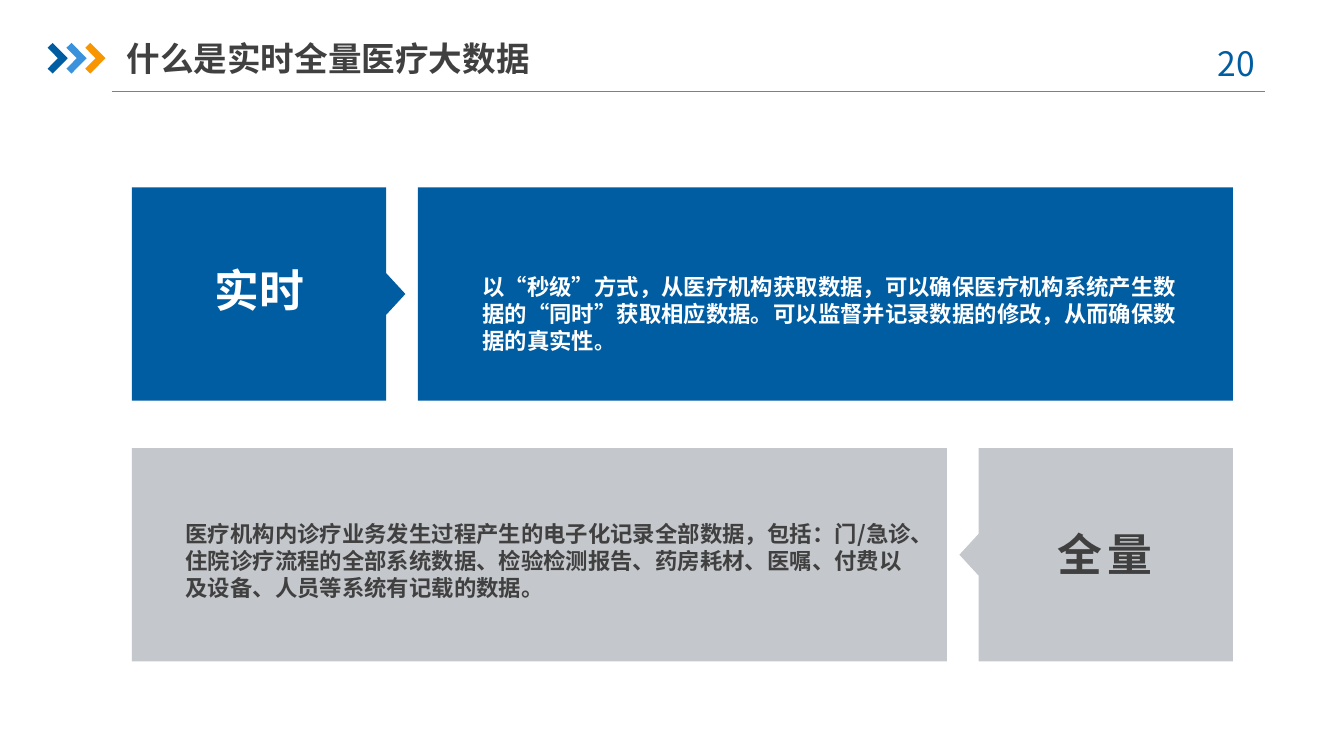
import pptx
import pptx.dml.color
import pptx.enum.shapes
import pptx.enum.text
import pptx.oxml.ns
import pptx.util
from lxml import etree

Pt = pptx.util.Pt
ALIGN = pptx.enum.text.PP_ALIGN
ANCHOR = pptx.enum.text.MSO_ANCHOR

FONT = "Noto Sans CJK SC"
BLUE, SKY, ORANGE = "005DA2", "3992DB", "F79600"
SILVER, DARK, GRAY, WHITE = "C4C7CB", "404040", "808080", "FFFFFF"


def color(hex_string):
    return pptx.dml.color.RGBColor.from_string(hex_string)


def paint(shape, fill):
    shape.shadow.inherit = False
    shape.fill.solid()
    shape.fill.fore_color.rgb = color(fill)
    shape.line.fill.background()


def add_text(slide, box, runs, fill, bold=True, align=ALIGN.LEFT, anchor=ANCHOR.TOP,
             insets=(0, 0, 0, 0), leading=1.25, spacing=None):
    """Add one paragraph; runs is a list of (text, size) pairs."""
    shape = slide.shapes.add_textbox(*map(Pt, box))
    frame = shape.text_frame
    frame.word_wrap = True
    frame.vertical_anchor = anchor
    (frame.margin_left, frame.margin_top,
     frame.margin_right, frame.margin_bottom) = map(Pt, insets)
    paragraph = frame.paragraphs[0]
    paragraph.alignment = align
    paragraph.line_spacing = Pt(runs[0][1] * leading)
    for text, size in runs:
        run = paragraph.add_run()
        run.text = text
        run.font.name = FONT
        run.font.size = Pt(size)
        run.font.bold = bold
        run.font.color.rgb = color(fill)
        properties = run.font._element
        if spacing:
            properties.set("spc", str(spacing * 100))
        east_asian = etree.SubElement(properties, pptx.oxml.ns.qn("a:ea"))
        east_asian.set("typeface", FONT)


def add_polygon(slide, points, fill):
    corners = [(Pt(x), Pt(y)) for x, y in points]
    builder = slide.shapes.build_freeform(*corners[0], scale=1.0)
    builder.add_line_segments(corners[1:], close=True)
    paint(builder.convert_to_shape(), fill)


def add_header(slide, box, title, number):
    left, top, width, height = box
    bottom = top + height

    # Rule under the title
    rule = slide.shapes.add_connector(
        pptx.enum.shapes.MSO_CONNECTOR.STRAIGHT,
        Pt(left + 34.3), Pt(bottom), Pt(left + width), Pt(bottom))
    rule.line.color.rgb = color(GRAY)
    rule.line.width = Pt(0.75)
    etree.SubElement(rule._element.spPr, pptx.oxml.ns.qn("a:effectLst"))

    # Three chevrons
    chevron = [(0, 2.6), (2.7, 0), (10.8, 8.2), (2.7, 16.4), (0, 13.8), (5.5, 8.2)]
    for index, fill in enumerate((BLUE, SKY, ORANGE)):
        x = left + index * 10.1
        add_polygon(slide, [(x + dx, top + 7.2 + dy) for dx, dy in chevron], fill)

    # Page number and title
    add_text(slide, (left + width - 39.5, top + 2.9, 52.6, 28.8), [(number, 18)], BLUE,
             bold=False, align=ALIGN.CENTER, insets=(7.2, 3.6, 7.2, 3.6))
    add_text(slide, (left + 42.3, top, 241, 30.2), [(title, 18)], DARK,
             anchor=ANCHOR.MIDDLE, insets=(0, 3.6, 0, 3.6))


def add_band(slide, box, fill, ink, label, label_box, body, body_box,
             label_first=True, spacing=None):
    """Add a pointed label block and a body panel; text boxes are relative to their block."""
    left, top, width, height = box
    label_width, gap, tip, half = 136.2, 17, 10.3, 11.2
    panel_width = width - label_width - gap
    label_left = left if label_first else left + panel_width + gap
    panel_left = left + label_width + gap if label_first else left

    # Body panel
    panel = slide.shapes.add_shape(
        pptx.enum.shapes.MSO_SHAPE.RECTANGLE,
        Pt(panel_left), Pt(top), Pt(panel_width), Pt(height))
    paint(panel, fill)

    # Label block with a tip toward the panel
    far, near, point = 0, label_width, label_width + tip
    if not label_first:
        far, near, point = label_width, 0, -tip
    middle = height / 2
    outline = [(far, 0), (near, 0), (near, middle - half), (point, middle),
               (near, middle + half), (near, height), (far, height)]
    add_polygon(slide, [(label_left + x, top + y) for x, y in outline], fill)

    # Texts
    x, y, *size = body_box
    add_text(slide, (panel_left + x, top + y, *size), body, ink, leading=1.2)
    x, y, *size = label_box
    add_text(slide, (label_left + x, top + y, *size), [(label, 24)], ink,
             align=ALIGN.CENTER if spacing else ALIGN.LEFT, spacing=spacing)


def main():
    presentation = pptx.Presentation()
    presentation.slide_width = Pt(720)
    presentation.slide_height = Pt(405)
    slide = presentation.slides.add_slide(presentation.slide_layouts[6])

    add_header(slide, (25.5, 15.8, 652, 33.4), "什么是实时全量医疗大数据", "20 ")

    left, top, width, height, pitch = 70.7, 100.4, 589.8, 114.2, 139.7
    add_band(slide, (left, top, width, height), BLUE, WHITE,
             "实时", (44.5, 39.4, 52, 29),
             [("以“秒级”方式，从医疗机构获取数据，可以确保医疗机构系统产生数据的“同时”"
               "获取相应数据。可以监督并记录数据的修改，从而确保数据的真实性", 12), ("。", 11)],
             (34.6, 45.8, 374.4, 55.4))
    add_band(slide, (left, top + pitch, width, height), SILVER, DARK,
             "全量", (33.1, 40.8, 69.1, 29),
             [("医疗机构内诊疗业务发生过程产生的电子化记录全部数据，包括：门/急诊、住院诊疗流程的"
               "全部系统数据、检验检测报告、药房耗材、医嘱、付费以及设备、人员等系统有记载的数据。", 12)],
             (28.7, 38.6, 391, 55.4), label_first=False, spacing=3)

    presentation.save("out.pptx")


if __name__ == "__main__":
    main()
